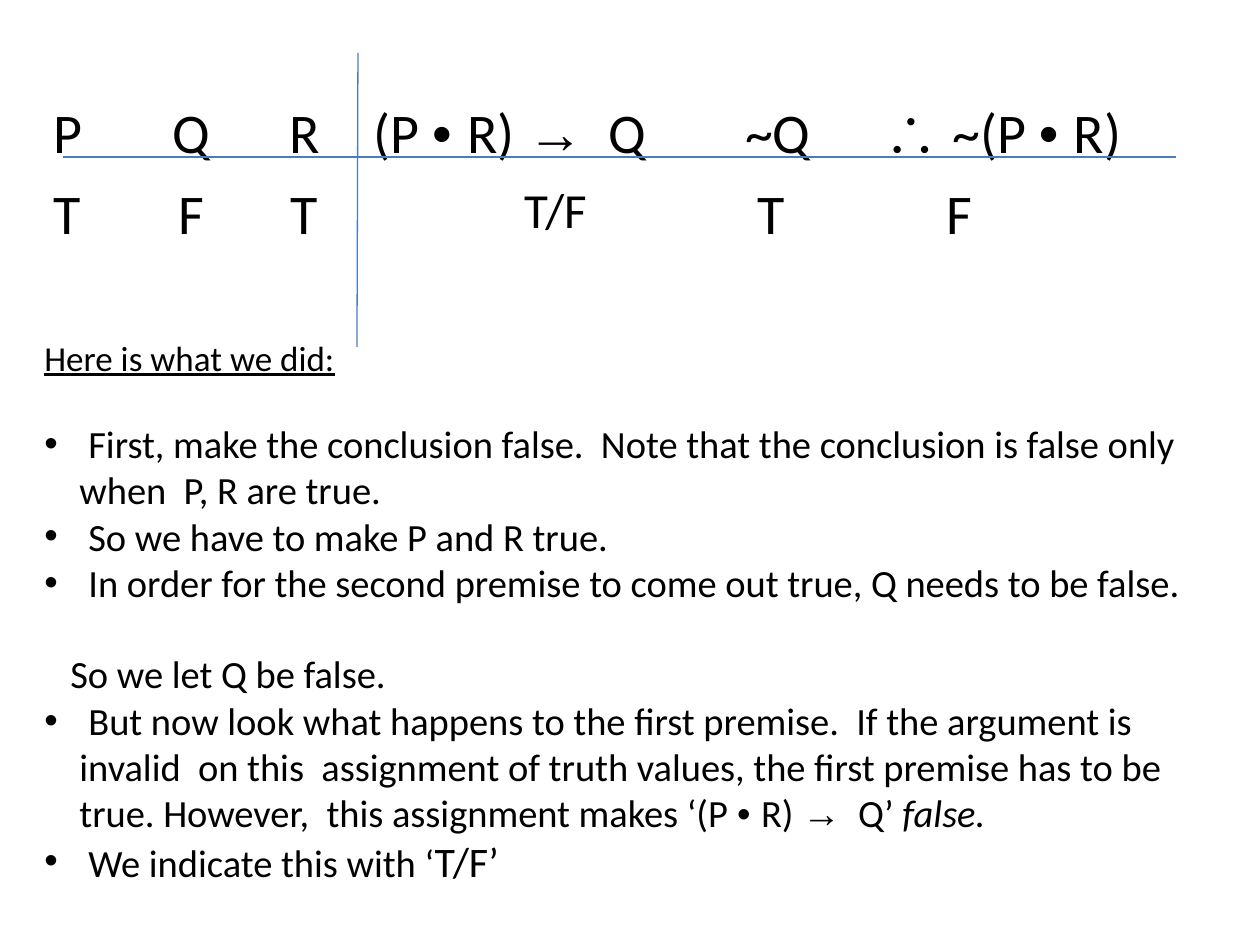
from lxml.etree import SubElement
from pptx import Presentation
from pptx.dml.color import RGBColor
from pptx.enum.shapes import MSO_CONNECTOR
from pptx.enum.text import MSO_AUTO_SIZE, PP_ALIGN
from pptx.oxml.ns import qn
from pptx.util import Emu, Pt

BLACK = RGBColor(0x00, 0x00, 0x00)
BLUE = RGBColor(0x4A, 0x7E, 0xBB)
FONTS = ("Calibri", "Arial")

COLUMNS = (135, 113, 113, 311, 199, 357)
ROW_HEIGHT = 81
# Each cell: text, left indent in px, size in points, centred
ROWS = (
    (("P", 0, 32, True), ("Q", 0, 32, True), ("R", 0, 32, True),
     ("(P |• |R) |→|  Q", 0, 32, False), ("~Q", 13, 32, True),
     ("|∴| ~(P |• |R)", 0, 32, False)),
    (("T", 0, 32, True), ("F", 0, 32, True), ("T", 0, 32, True),
     ("T/F", 78, 28, True), ("T", 0, 32, True), ("F", 63, 32, False)),
)

BULLET = dict(indent=44, bullet=True)
CONTINUED = dict(indent=35)
STEPS = (
    ("First, make the conclusion false.  Note that the conclusion is false only",
     dict(BULLET, before=24)),
    ("when  P, R are true.", CONTINUED),
    ("So we have to make P and R true.", BULLET),
    ("In order for the second premise to come out true, Q needs to be false.", BULLET),
    ("So we let Q be false.", dict(indent=26, before=26)),
    ("But now look what happens to the first premise.  If the argument is", BULLET),
    ("invalid  on this  assignment of truth values, the first premise has to be", CONTINUED),
    ("true. However,  this assignment makes ‘(P |• |R) |→|  Q’ ", CONTINUED),
    ("We indicate this with ‘", BULLET),
)
# Differently formatted endings, by the index of the step
ENDINGS = {7: ("false.", dict(italic=True)), 8: ("T/F’", dict(size=24))}


def px(n):
    return Emu(round(n * 914400 / 126))


def add_text(p, text, size=22, italic=False, underline=False):
    """Add runs; each bar in the text switches between the two fonts."""
    for i, part in enumerate(text.split("|")):
        if not part:
            continue
        r = p.add_run()
        r.text = part
        font = r.font
        font.name = FONTS[i % 2]
        font.size = Pt(size)
        font.bold = False
        font.italic = italic
        font.underline = underline
        font.color.rgb = BLACK


def format_paragraph(p, indent=0, bullet=False, before=0):
    pPr = p._p.get_or_add_pPr()
    pPr.set("marL", str(px(indent)))
    pPr.set("indent", str(px(-indent) if bullet else 0))
    if bullet:
        color = SubElement(pPr, qn("a:buClr"))
        SubElement(color, qn("a:srgbClr"), val=str(BLACK))
        SubElement(pPr, qn("a:buFont"), typeface="Arial")
        SubElement(pPr, qn("a:buChar"), char="•")
    if before:
        p.space_before = Pt(before)


def add_truth_table(s):
    table = s.shapes.add_table(len(ROWS), len(COLUMNS), px(0), px(94), px(sum(COLUMNS)),
                               px(ROW_HEIGHT * len(ROWS))).table
    table.first_row = table.horz_banding = False
    for column, width in zip(table.columns, COLUMNS):
        column.width = px(width)
    for i, row in enumerate(ROWS):
        table.rows[i].height = px(ROW_HEIGHT)
        for j, (text, indent, size, centred) in enumerate(row):
            cell = table.cell(i, j)
            cell.fill.background()
            p = cell.text_frame.paragraphs[0]
            format_paragraph(p, indent)
            p.alignment = PP_ALIGN.CENTER if centred else PP_ALIGN.LEFT
            add_text(p, text, size=size)


def add_rule(s, x1, y1, x2, y2):
    line = s.shapes.add_connector(MSO_CONNECTOR.STRAIGHT, px(x1), px(y1), px(x2), px(y2))
    line.line.color.rgb = BLUE
    line.line.width = Pt(0.75)
    SubElement(line._element.spPr, qn("a:effectLst"))


def add_explanation(s):
    tf = s.shapes.add_textbox(px(32), px(330), px(1168), px(601)).text_frame
    tf.word_wrap = True
    tf.auto_size = MSO_AUTO_SIZE.SHAPE_TO_FIT_TEXT
    add_text(tf.paragraphs[0], "Here is what we did:", size=20, underline=True)
    for i, (text, layout) in enumerate(STEPS):
        p = tf.add_paragraph()
        format_paragraph(p, **layout)
        add_text(p, text)
        if i in ENDINGS:
            ending, style = ENDINGS[i]
            add_text(p, ending, **style)


def main():
    prs = Presentation()
    prs.slide_width, prs.slide_height = px(1260), px(945)
    s = prs.slides.add_slide(prs.slide_layouts[6])
    add_truth_table(s)
    add_rule(s, 358, 53, 357, 347)
    add_rule(s, 63, 157, 1176, 157)
    add_explanation(s)
    prs.save("out.pptx")


if __name__ == "__main__":
    main()
